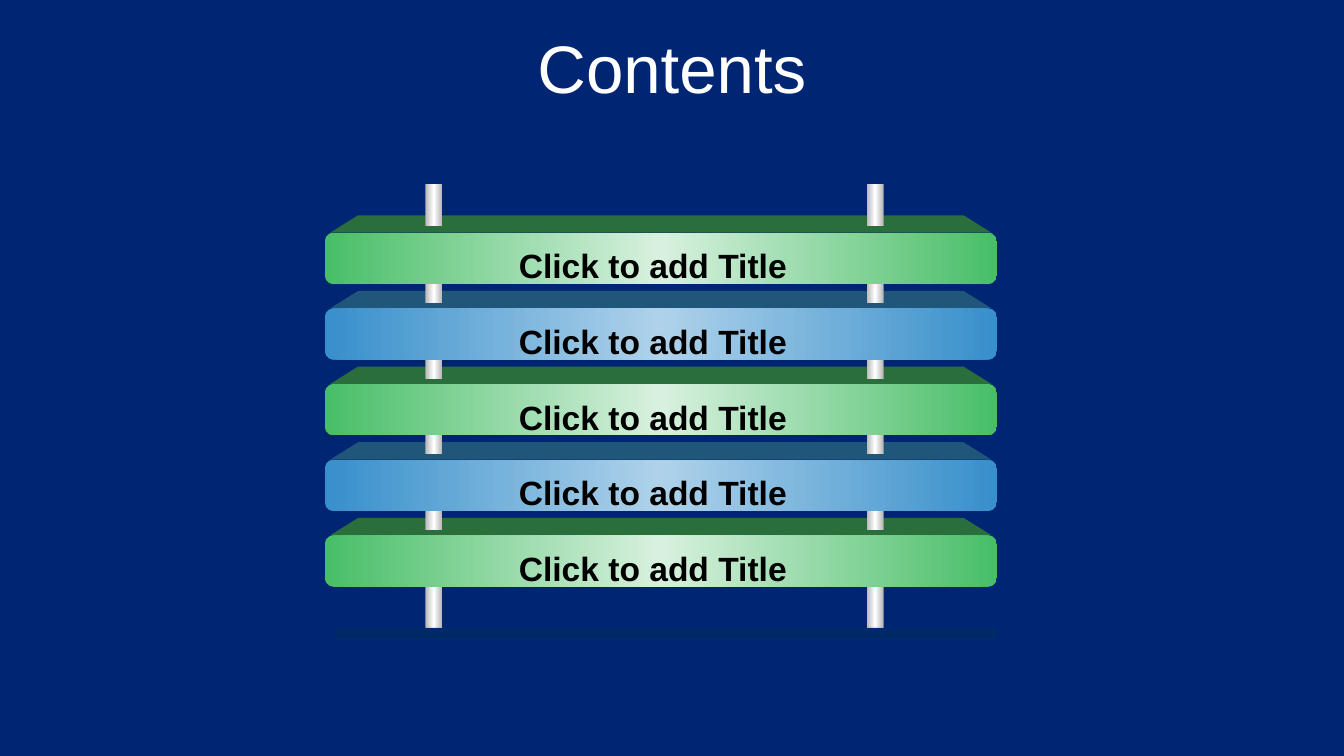
import pptx
import pptx.util
import pptx.dml.color
import pptx.enum.shapes
import pptx.enum.text
import pptx.oxml.ns
import lxml.etree

Cm = pptx.util.Cm
RGBColor = pptx.dml.color.RGBColor
SHAPE = pptx.enum.shapes.MSO_SHAPE
qn = pptx.oxml.ns.qn

NAVY = RGBColor(0x00, 0x26, 0x73)
WHITE = RGBColor(0xFF, 0xFF, 0xFF)
BLACK = RGBColor(0x00, 0x00, 0x00)
GREY = RGBColor(0xB6, 0xB6, 0xB6)
GREEN = RGBColor(0x48, 0xBE, 0x67)
PALE_GREEN = RGBColor(0xD8, 0xF1, 0xDF)
DARK_GREEN = RGBColor(0x2A, 0x6E, 0x3C)
BLUE = RGBColor(0x37, 0x8F, 0xCB)
PALE_BLUE = RGBColor(0xAF, 0xD2, 0xEA)
DARK_BLUE = RGBColor(0x20, 0x56, 0x7A)
SHADE_EDGE = RGBColor(0x00, 0x3B, 0x76)
SHADE_CORE = RGBColor(0x00, 0x2A, 0x54)

# Edge, centre and top-face colours, alternating down the stack
BAR_COLOURS = [(GREEN, PALE_GREEN, DARK_GREEN), (BLUE, PALE_BLUE, DARK_BLUE)]
BAR_TITLES = ["Click to add Title"] * 5


def add_plain_shape(shapes, kind, left, top, width, height):
    shape = shapes.add_shape(kind, Cm(left), Cm(top), Cm(width), Cm(height))
    shape.shadow.inherit = False
    shape.line.fill.background()
    return shape


def fill_mirrored(shape, edge, centre, angle=0, edge_alpha=100, centre_alpha=100):
    """Gradient running from edge to centre and back to edge."""
    shape.fill.gradient()
    shape.fill.gradient_angle = angle
    stops = shape._element.spPr.find(qn("a:gradFill")).find(qn("a:gsLst"))
    for stop in list(stops):
        stops.remove(stop)
    for position, colour, alpha in [(0, edge, edge_alpha),
                                    (50, centre, centre_alpha),
                                    (100, edge, edge_alpha)]:
        stop = lxml.etree.SubElement(stops, qn("a:gs"), pos=str(position * 1000))
        tint = lxml.etree.SubElement(stop, qn("a:srgbClr"), val=str(colour))
        if alpha < 100:
            lxml.etree.SubElement(tint, qn("a:alpha"), val=str(alpha * 1000))


def add_text(page, text, left, top, width, height, size, colour, bold=False):
    box = page.shapes.add_textbox(Cm(left), Cm(top), Cm(width), Cm(height))
    frame = box.text_frame
    frame.word_wrap = True
    frame.vertical_anchor = pptx.enum.text.MSO_ANCHOR.MIDDLE
    para = frame.paragraphs[0]
    para.text = text
    para.alignment = pptx.enum.text.PP_ALIGN.CENTER
    span = para.runs[0]
    span.font.name = "Arial"
    span.font.size = pptx.util.Pt(size)
    span.font.bold = bold
    span.font.color.rgb = colour


def add_bar(page, title, colours, left, top, width, height):
    edge, centre, dark = colours
    depth, inset, slant = 0.33, 0.1, 0.53

    # Top face seen in perspective
    face = add_plain_shape(page.shapes, SHAPE.TRAPEZOID, left + inset, top - depth,
                           width - 2 * inset, depth)
    face.adjustments[0] = slant / depth
    face.fill.solid()
    face.fill.fore_color.rgb = dark

    # Front face and its title
    front = add_plain_shape(page.shapes, SHAPE.ROUNDED_RECTANGLE,
                            left, top, width, height)
    fill_mirrored(front, edge, centre)
    add_text(page, title, left + 2.54, top + 0.11, 7.32, 1.02, 18, BLACK, bold=True)


def add_rod(page, left, pieces):
    rod = page.shapes.add_group_shape()
    for top, height in pieces:
        piece = add_plain_shape(rod.shapes, SHAPE.RECTANGLE, left, top, 0.32, height)
        fill_mirrored(piece, GREY, WHITE)


def add_stack(page, left, top, width, height):
    bar_height, long_piece, short_piece = 0.97, 0.79, 0.36
    pitch = (height - bar_height) / (len(BAR_TITLES) - 1)
    bar_tops = [top + index * pitch for index in range(len(BAR_TITLES))]

    for index, (title, bar_top) in enumerate(zip(BAR_TITLES, bar_tops)):
        colours = BAR_COLOURS[index % len(BAR_COLOURS)]
        add_bar(page, title, colours, left, bar_top, width, bar_height)

    # Rods: long ends, short pieces between the bars
    pieces = [(top - 0.92, long_piece)]
    pieces += [(bar_top + bar_height, short_piece) for bar_top in bar_tops[:-1]]
    pieces.append((top + height, long_piece))
    for offset in (1.9, 10.24):
        add_rod(page, left + offset, pieces)

    # Soft shadow on the ground
    ground = add_plain_shape(page.shapes, SHAPE.RECTANGLE, left + 0.2,
                             top + height + long_piece - 0.03, width - 0.2, 0.3)
    fill_mirrored(ground, SHADE_EDGE, SHADE_CORE, 90, 0, 58)


def main():
    deck = pptx.Presentation()
    deck.slide_width, deck.slide_height = Cm(25.4), Cm(14.29)
    page = deck.slides.add_slide(deck.slide_layouts[6])
    page.background.fill.solid()
    page.background.fill.fore_color.rgb = NAVY
    add_text(page, "Contents", 0, 0.48, 25.4, 1.57, 36, WHITE)
    add_stack(page, 6.14, 4.4, 12.7, 6.69)
    deck.save("out.pptx")


if __name__ == "__main__":
    main()
